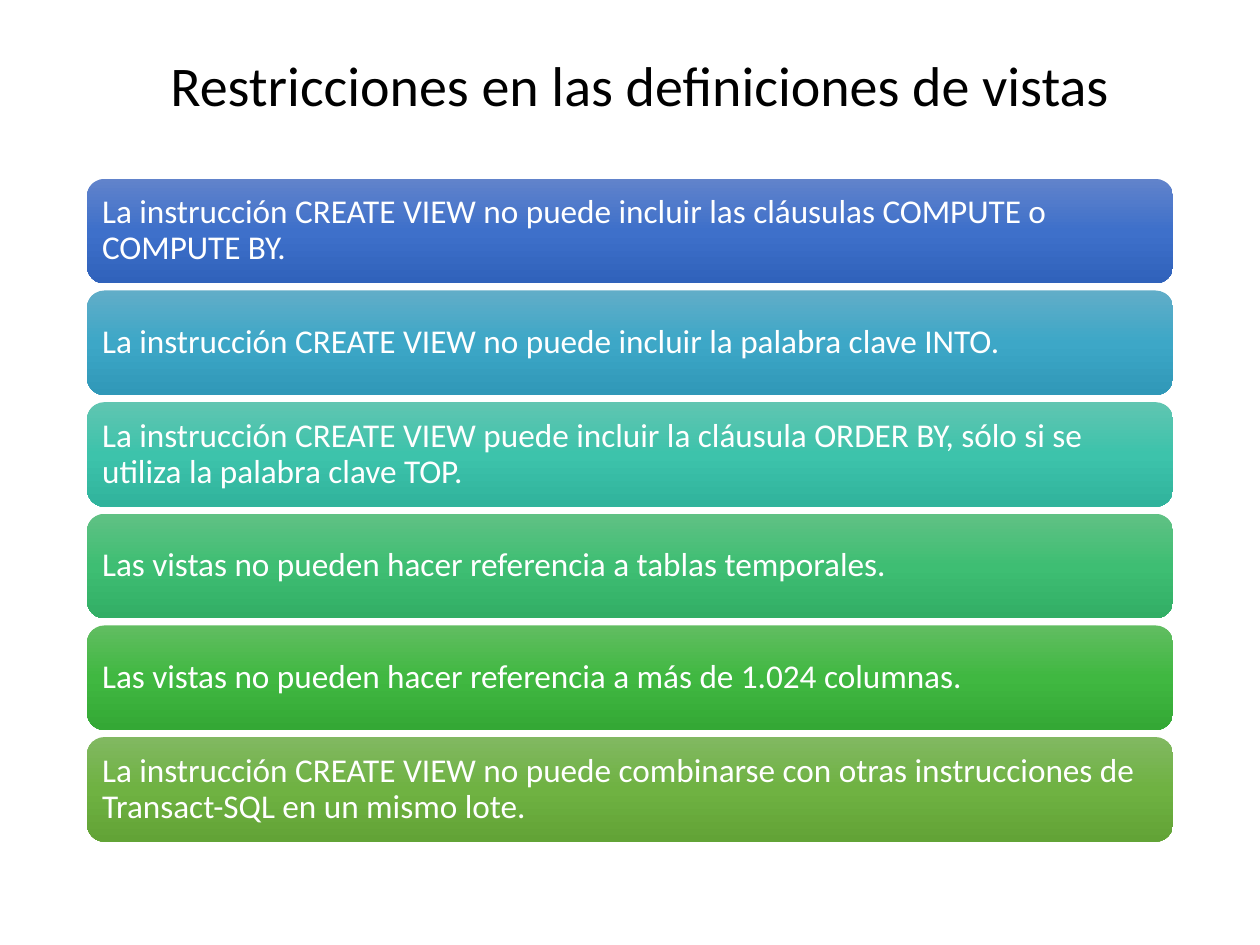
from copy import deepcopy

from pptx import Presentation
from pptx.dml.color import RGBColor
from pptx.enum.shapes import MSO_SHAPE
from pptx.enum.text import MSO_ANCHOR, PP_ALIGN
from pptx.oxml.ns import qn
from pptx.util import Inches, Pt

BLACK = RGBColor(0x00, 0x00, 0x00)
WHITE = RGBColor(0xFF, 0xFF, 0xFF)
BLUE = [RGBColor(0x61, 0x83, 0xCB), RGBColor(0x3E, 0x70, 0xCA), RGBColor(0x30, 0x62, 0xBB)]
CYAN = [RGBColor(0x61, 0xAD, 0xC8), RGBColor(0x3D, 0xA7, 0xC7), RGBColor(0x30, 0x98, 0xB8)]
TEAL = [RGBColor(0x60, 0xC5, 0xB1), RGBColor(0x3D, 0xC3, 0xAB), RGBColor(0x30, 0xB3, 0x9C)]
JADE = [RGBColor(0x60, 0xC1, 0x84), RGBColor(0x3E, 0xBE, 0x73), RGBColor(0x32, 0xAE, 0x65)]
GREEN = [RGBColor(0x61, 0xBD, 0x61), RGBColor(0x40, 0xB8, 0x41), RGBColor(0x34, 0xA8, 0x35)]
OLIVE = [RGBColor(0x81, 0xB8, 0x61), RGBColor(0x6F, 0xB2, 0x42), RGBColor(0x62, 0xA3, 0x36)]

RESTRICTIONS = [
    ("La instrucción CREATE VIEW no puede incluir las cláusulas COMPUTE o COMPUTE BY.", BLUE),
    ("La instrucción CREATE VIEW no puede incluir la palabra clave INTO.", CYAN),
    ("La instrucción CREATE VIEW puede incluir la cláusula ORDER BY, sólo si se "
     "utiliza la palabra clave TOP.", TEAL),
    ("Las vistas no pueden hacer referencia a tablas temporales.", JADE),
    ("Las vistas no pueden hacer referencia a más de 1.024 columnas.", GREEN),
    ("La instrucción CREATE VIEW no puede combinarse con otras instrucciones de "
     "Transact-SQL en un mismo lote.", OLIVE),
]
BAR_LEFT, BAR_TOP, BAR_WIDTH, BAR_HEIGHT = 0.69, 1.42, 8.62, 0.83
LAST_BAR_TOP = 5.85
BAR_PITCH = (LAST_BAR_TOP - BAR_TOP) / (len(RESTRICTIONS) - 1)


class SlideBuilder:
    font = "Calibri"
    title_size = Pt(32)
    bar_size = Pt(19)
    bar_inset = Inches(0.08)
    line_spacing = 0.9

    def __init__(self, page):
        self.page = page

    def set_text(self, frame, text, size, color, align):
        frame.text = text
        frame.word_wrap = True
        frame.vertical_anchor = MSO_ANCHOR.MIDDLE
        para = frame.paragraphs[0]
        para.alignment = align
        para.line_spacing = self.line_spacing
        font = para.runs[0].font
        font.name, font.size = self.font, size
        font.color.rgb = color

    def title(self, text, left, top, width, height):
        title = self.page.shapes.title
        title.left, title.top = Inches(left), Inches(top)
        title.width, title.height = Inches(width), Inches(height)
        self.set_text(title.text_frame, text, self.title_size, BLACK, PP_ALIGN.CENTER)

    def shade(self, shape, colors):
        """Fill the shape from top to bottom with three evenly spaced colours."""
        shape.fill.gradient()
        shape.fill.gradient_angle = 270
        stop_list = shape._element.spPr.find(qn("a:gradFill")).find(qn("a:gsLst"))
        stop_list.append(deepcopy(stop_list[-1]))
        for index, (stop, color) in enumerate(zip(shape.fill.gradient_stops, colors)):
            stop.position = index / 2
            stop.color.rgb = color

    def bar(self, group, text, colors, top):
        bar = group.shapes.add_shape(
            MSO_SHAPE.ROUNDED_RECTANGLE,
            Inches(BAR_LEFT), Inches(top), Inches(BAR_WIDTH), Inches(BAR_HEIGHT))
        bar.shadow.inherit = False
        bar.line.fill.background()
        self.shade(bar, colors)
        frame = bar.text_frame
        frame.margin_left = frame.margin_right = self.bar_inset
        frame.margin_top = frame.margin_bottom = self.bar_inset
        self.set_text(frame, text, self.bar_size, WHITE, PP_ALIGN.LEFT)

    def bar_list(self, items):
        group = self.page.shapes.add_group_shape()
        for index, (text, colors) in enumerate(items):
            self.bar(group, text, colors, BAR_TOP + index * BAR_PITCH)


def main():
    deck = Presentation()
    deck.slide_width, deck.slide_height = Inches(10), Inches(7.5)
    title_only = deck.slide_layouts[5]
    builder = SlideBuilder(deck.slides.add_slide(title_only))
    builder.title("Restricciones en las definiciones de vistas", 1.18, 0.4, 7.8, 0.61)
    builder.bar_list(RESTRICTIONS)
    deck.save("out.pptx")


if __name__ == "__main__":
    main()
